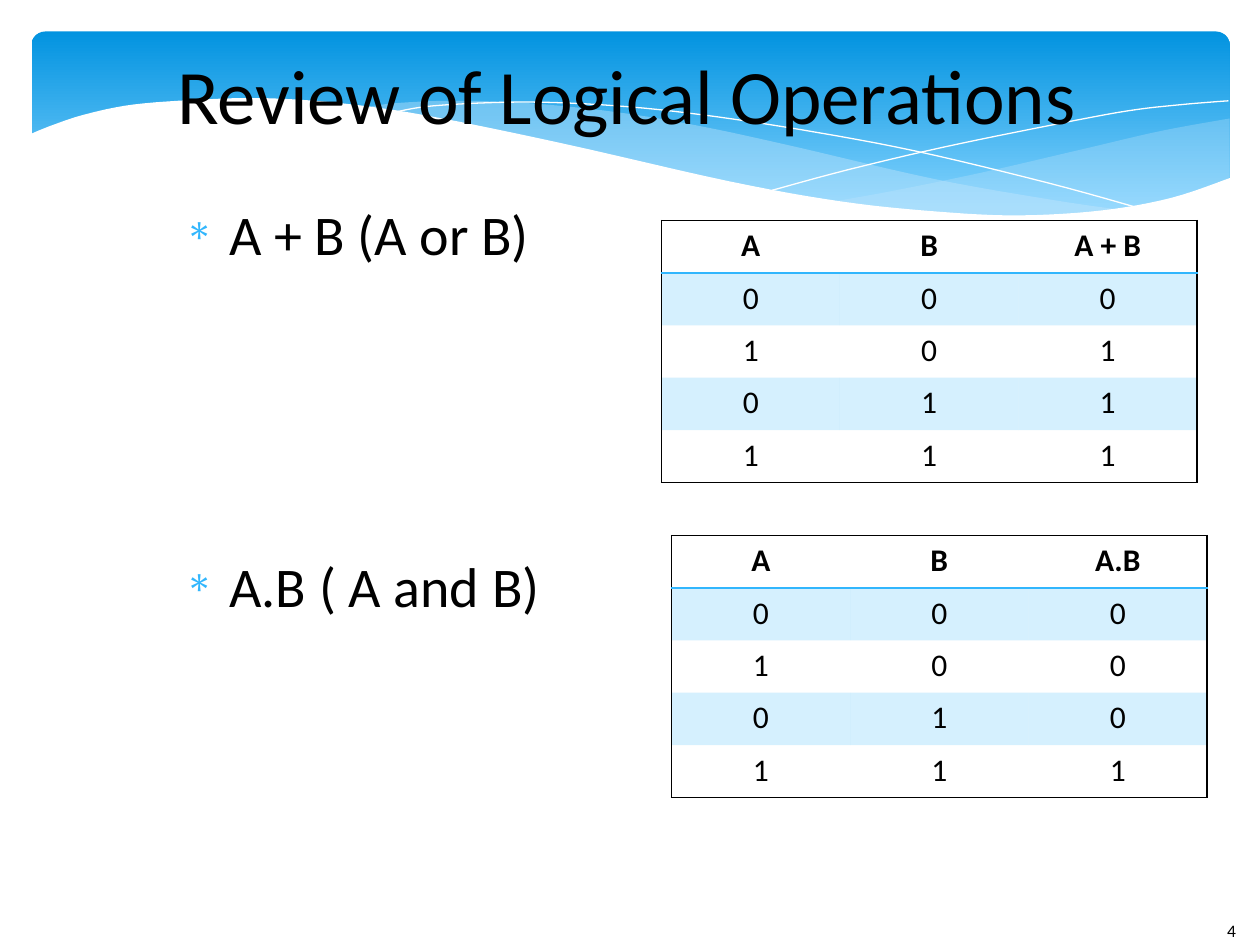
from lxml.etree import SubElement
from pptx import Presentation
from pptx.dml.color import RGBColor
from pptx.enum.shapes import MSO_SHAPE
from pptx.enum.text import MSO_ANCHOR, PP_ALIGN
from pptx.oxml.ns import qn
from pptx.util import Inches, Pt

COLORS = {"text": "000000", "accent": "31B6FD", "white": "FFFFFF",
          "band_top": "0293E0", "band_bottom": "83D3FE", "ribbon": "C6E7FC"}
FONT = "Calibri"
TITLE = "Review of Logical Operations"
BULLETS = ["A + B (A or B)", "A.B ( A and B)"]
PAGE_NUMBER = "4"
INPUTS = [(0, 0), (1, 0), (0, 1), (1, 1)]
TRUTH_TABLES = [
    {"left": 5.25, "top": 1.75, "heading": "A + B", "results": [0, 1, 1, 1]},
    {"left": 5.33, "top": 4.25, "heading": "A.B", "results": [0, 0, 0, 1]},
]
TABLE_WIDTH, TABLE_HEIGHT = 4.25, 2.08

# Each wave is a chain of smooth curves, in inches; alpha is opacity in percent.
WAVES = [
    {"fill": "ribbon", "alpha": 29, "curves": [
        [(9.76, 0.94), (9.21, 1.04), (8.61, 1.18), (7.79, 1.37), (7.06, 1.52), (6.61, 1.6)],
        [(6.61, 1.6), (7.19, 1.67), (7.81, 1.72), (8.35, 1.72), (8.89, 1.66),
         (9.35, 1.56), (9.76, 1.41)]]},
    {"fill": "ribbon", "alpha": 40, "curves": [
        [(8.93, 1.67), (8.37, 1.59), (7.41, 1.42), (6.29, 1.16), (5.55, 1), (4.89, 0.89),
         (4.2, 0.82), (3.61, 0.8), (3.13, 0.82), (2.86, 0.86)],
        [(2.86, 0.86), (3.42, 0.94), (4.04, 1.06), (4.91, 1.26), (5.66, 1.43), (6.34, 1.56),
         (6.95, 1.65), (7.61, 1.71), (8.18, 1.73), (8.57, 1.71), (8.93, 1.67)]]},
    {"line": "white", "curves": [
        [(3.09, 0.9), (3.44, 0.84), (4.16, 0.81), (4.89, 0.84), (5.56, 0.91), (6.36, 1.03),
         (7.27, 1.2), (8.31, 1.45), (9.07, 1.66)]]},
    {"line": "white", "curves": [
        [(6.13, 1.51), (6.72, 1.35), (7.48, 1.17), (8.36, 0.99), (8.95, 0.88),
         (9.38, 0.83), (9.75, 0.8)]]},
    {"fill": "white", "alpha": 100, "curves": [
        [(9.77, 1.41), (9.3, 1.57), (8.75, 1.67), (8.09, 1.71), (7.44, 1.68), (6.68, 1.6),
         (5.79, 1.44), (4.47, 1.14), (3.4, 0.92), (2.71, 0.82), (2.11, 0.78), (1.61, 0.79),
         (1.06, 0.83), (0.67, 0.91), (0.4, 1), (0.23, 1.07)],
        [(0.23, 2.24), (9.77, 2.24)]]},
]


def rgb(name):
    return RGBColor.from_string(COLORS[name])


def smooth(knots, steps=6):
    """Return points on a Catmull-Rom curve through the knots."""
    padded = [knots[0], *knots, knots[-1]]
    points = [knots[0]]
    for a, b, c, d in zip(padded, padded[1:], padded[2:], padded[3:]):
        for step in range(1, steps + 1):
            t = step / steps
            points.append(tuple(
                (2 * q + (r - p) * t + (2 * p - 5 * q + 4 * r - s) * t ** 2
                 + (3 * q - p - 3 * r + s) * t ** 3) / 2
                for p, q, r, s in zip(a, b, c, d)))
    return points


def set_solid(fill, color, parent, alpha=100):
    """Fill with a colour; parent is the element that holds the fill."""
    fill.solid()
    fill.fore_color.rgb = rgb(color)
    if alpha < 100:
        SubElement(parent.find(qn("a:solidFill"))[0], qn("a:alpha"), val=str(alpha * 1000))


def add_wave(page, wave):
    points = [(Inches(x), Inches(y)) for curve in wave["curves"] for x, y in smooth(curve)]
    builder = page.shapes.build_freeform(*points[0])
    builder.add_line_segments(points[1:], close="fill" in wave)
    shape = builder.convert_to_shape()
    shape.shadow.inherit = False
    if "fill" in wave:
        set_solid(shape.fill, wave["fill"], shape._element.spPr, wave["alpha"])
        shape.line.fill.background()
    else:
        shape.fill.background()
        shape.line.color.rgb = rgb(wave["line"])
        shape.line.width = Pt(0)


def write(para, text, size, bold=False):
    para.text = text
    for name, value in {"name": FONT, "size": Pt(size), "bold": bold}.items():
        setattr(para.font, name, value)
    para.font.color.rgb = rgb("text")


def set_margins(frame, side=0):
    frame.margin_left = frame.margin_right = Inches(side)
    frame.margin_top = frame.margin_bottom = 0
    frame.word_wrap = True


def add_bullet(para):
    props = para._p.get_or_add_pPr()
    props.set("marL", str(Inches(0.47)))
    props.set("indent", str(Inches(-0.35)))
    SubElement(SubElement(props, qn("a:buClr")), qn("a:srgbClr"), val=COLORS["accent"])
    SubElement(props, qn("a:buSzPct"), val="70000")
    SubElement(props, qn("a:buChar"), char="∗")


def add_border(cell, side, color):
    line = SubElement(cell._tc.get_or_add_tcPr(), qn(f"a:ln{side}"), w=str(Pt(1)))
    SubElement(SubElement(line, qn("a:solidFill")), qn("a:srgbClr"), val=COLORS[color])


def add_truth_table(page, left, top, heading, results):
    rows = [("A", "B", heading)] + [(*pair, out) for pair, out in zip(INPUTS, results)]
    last_row, last_column = len(rows) - 1, len(rows[0]) - 1
    table = page.shapes.add_table(
        len(rows), len(rows[0]), Inches(left), Inches(top),
        Inches(TABLE_WIDTH), Inches(TABLE_HEIGHT)).table
    table.first_row = table.horz_banding = False
    style = table._tbl.tblPr.find(qn("a:tableStyleId"))
    style.text = "{2D5ABB26-0587-4C30-8999-92F81FD0307C}"  # no style, no grid
    for i, row in enumerate(rows):
        for j, value in enumerate(row):
            cell = table.cell(i, j)
            para = cell.text_frame.paragraphs[0]
            write(para, str(value), 18, bold=i == 0)
            para.alignment = PP_ALIGN.CENTER
            borders = [("L", j == 0, "text"), ("R", j == last_column, "text"),
                       ("T", i == 0, "text"), ("B", i == 0, "accent"),
                       ("B", i == last_row, "text")]
            for side, shown, color in borders:
                if shown:
                    add_border(cell, side, color)
            if i % 2:
                set_solid(cell.fill, "accent", cell._tc.tcPr, alpha=20)
            else:
                cell.fill.background()


def add_text_box(page, left, top, width, height):
    return page.shapes.add_textbox(*map(Inches, (left, top, width, height))).text_frame


def main():
    deck = Presentation()
    deck.slide_width, deck.slide_height = Inches(10), Inches(7.5)
    page = deck.slides.add_slide(deck.slide_layouts[5])

    band = page.shapes.add_shape(MSO_SHAPE.ROUNDED_RECTANGLE, Inches(0.25), Inches(0.25),
                                 Inches(9.51), Inches(1.56))
    band.adjustments[0] = 0.07
    band.shadow.inherit = False
    band.line.fill.background()
    band.fill.gradient()
    band.fill.gradient_angle = 270
    stops = [("band_top", 0), ("band_bottom", 0.9)]
    for stop, (color, position) in zip(band.fill.gradient_stops, stops):
        stop.color.rgb = rgb(color)
        stop.position = position
    for wave in WAVES:
        add_wave(page, wave)

    title = page.shapes.title
    page.shapes._spTree.append(title._element)  # bring in front of the waves
    title.left, title.top = Inches(0.92), Inches(0.23)
    title.width, title.height = Inches(8.11), Inches(1.02)
    set_margins(title.text_frame)
    title.text_frame.vertical_anchor = MSO_ANCHOR.MIDDLE
    write(title.text_frame.paragraphs[0], TITLE, 44)
    title.text_frame.paragraphs[0].alignment = PP_ALIGN.CENTER

    body = add_text_box(page, 1.25, 1.58, 8.11, 4.95)
    set_margins(body, side=0.1)
    for index, text in enumerate(BULLETS):
        para = body.add_paragraph() if index else body.paragraphs[0]
        add_bullet(para)
        write(para, text, 32)
        if index:
            para.space_before = Pt(163)

    number = add_text_box(page, 9.64, 7.25, 0.61, 0.4)
    write(number.paragraphs[0], PAGE_NUMBER, 10)
    for truth_table in TRUTH_TABLES:
        add_truth_table(page, **truth_table)
    deck.save("out.pptx")


if __name__ == "__main__":
    main()
